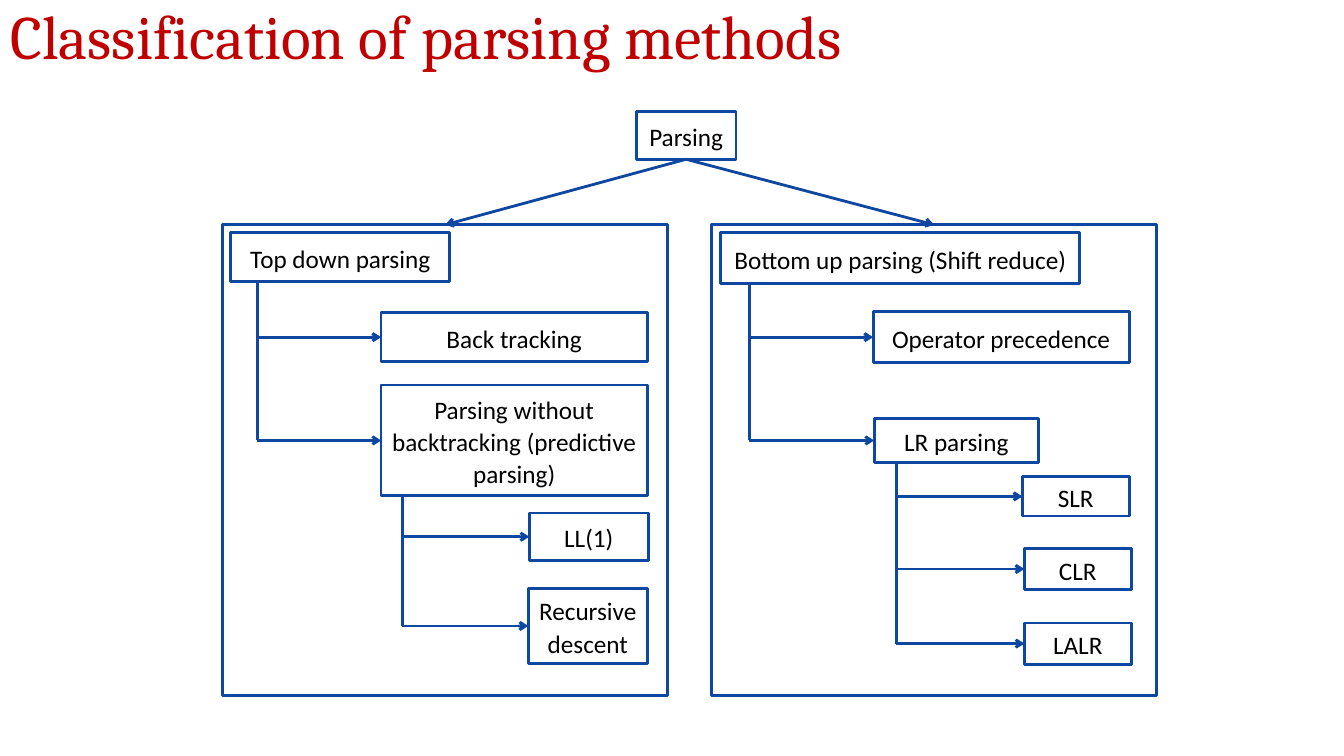
from lxml.etree import SubElement
from pptx import Presentation
from pptx.dml.color import RGBColor
from pptx.enum.shapes import MSO_CONNECTOR, MSO_SHAPE
from pptx.enum.text import MSO_ANCHOR, MSO_AUTO_SIZE, PP_ALIGN
from pptx.oxml.ns import qn
from pptx.util import Pt

PX = 9144  # 100 px to the inch
TOP, LEFT, BOTTOM = 0, 1, 2  # connection sites of a rectangle


def colour(hex_string):
    return RGBColor.from_string(hex_string)


class Diagram:
    """Holds the style and the slide being drawn."""

    title_font, title_size, title_colour = "Cambria", 44, "C00000"
    box_font, box_size, box_colour = "Calibri", 18, "000000"
    line_colour, line_width = "0E47A1", 2

    def __init__(self, presentation):
        self.slide = presentation.slides.add_slide(presentation.slide_layouts[5])

    def add_text(self, paragraph, text, font, size, hex_string):
        run = paragraph.add_run()
        run.text = text
        run.font.name = font
        run.font.size = Pt(size)
        run.font.color.rgb = colour(hex_string)

    def stroke(self, line):
        line.color.rgb = colour(self.line_colour)
        line.width = Pt(self.line_width)

    def title(self, text, left, top, width, height):
        title = self.slide.shapes.title
        title.left, title.top = left * PX, top * PX
        title.width, title.height = width * PX, height * PX
        frame = title.text_frame
        frame.auto_size = MSO_AUTO_SIZE.NONE
        frame.vertical_anchor = MSO_ANCHOR.MIDDLE
        paragraph = frame.paragraphs[0]
        paragraph.alignment = PP_ALIGN.LEFT
        paragraph.line_spacing = 0.9
        self.add_text(paragraph, text, self.title_font, self.title_size, self.title_colour)

    def frame(self, left, top, width, height):
        outline = self.slide.shapes.add_shape(
            MSO_SHAPE.RECTANGLE, left * PX, top * PX, width * PX, height * PX)
        outline.shadow.inherit = False
        outline.fill.background()
        self.stroke(outline.line)
        return outline

    def box(self, text, left, top, width, height):
        box = self.frame(left, top, width, height)
        frame = box.text_frame
        frame.word_wrap = True
        frame.vertical_anchor = MSO_ANCHOR.MIDDLE
        lines = text.split("\n")
        for number, line in enumerate(lines):
            paragraph = frame.add_paragraph() if number else frame.paragraphs[0]
            paragraph.alignment = PP_ALIGN.CENTER
            paragraph.line_spacing = 1.07
            paragraph.space_after = Pt(8 if len(lines) == 1 else 0)
            self.add_text(paragraph, line, self.box_font, self.box_size, self.box_colour)
        return box

    def line(self, x1, y1, x2, y2, arrow=False):
        """Draws a line between two points given in EMU."""
        line = self.slide.shapes.add_connector(MSO_CONNECTOR.STRAIGHT, x1, y1, x2, y2)
        self.stroke(line.line)
        properties = line._element.spPr
        if arrow:
            SubElement(properties.find(qn("a:ln")), qn("a:tailEnd"), type="arrow")
        SubElement(properties, qn("a:effectLst"))
        return line

    def split(self, parent, child):
        arrow = self.line(0, 0, PX, PX, arrow=True)
        arrow.begin_connect(parent, BOTTOM)
        arrow.end_connect(child, TOP)

    def branches(self, parent, trunk_x, children):
        x = trunk_x * PX
        for child in children:
            middle = child.top + child.height // 2
            self.line(x, middle, child.left, middle, arrow=True).end_connect(child, LEFT)
        self.line(x, parent.top + parent.height, x, middle)


def main():
    presentation = Presentation()
    presentation.slide_width, presentation.slide_height = 1333 * PX, 750 * PX
    diagram = Diagram(presentation)
    diagram.title("Classification of parsing methods", 0, 0, 1333, 78)

    # Root and the two families
    parsing = diagram.box("Parsing", 631, 111, 99, 47)
    for family_left in (221, 706):
        diagram.split(parsing, diagram.frame(family_left, 223, 441, 467))

    # Top down family
    top_down = diagram.box("Top down parsing", 229, 231, 217, 48)
    back_tracking = diagram.box("Back tracking", 378, 310, 264, 49)
    predictive = diagram.box(
        "Parsing without backtracking (predictive parsing)", 378, 382, 264, 110)
    ll1 = diagram.box("LL(1)", 525, 509, 118, 47)
    recursive_descent = diagram.box("Recursive\ndescent", 524, 584, 118, 74)
    diagram.branches(top_down, 255, [back_tracking, predictive])
    diagram.branches(predictive, 399, [ll1, recursive_descent])

    # Bottom up family
    bottom_up = diagram.box("Bottom up parsing (Shift reduce)", 715, 231, 356, 50)
    operator_precedence = diagram.box("Operator precedence", 866, 309, 254, 51)
    lr_parsing = diagram.box("LR parsing", 867, 415, 163, 44)
    slr = diagram.box("SLR", 1014, 473, 106, 39)
    clr = diagram.box("CLR", 1016, 544, 106, 41)
    lalr = diagram.box("LALR", 1016, 618, 106, 41)
    diagram.branches(bottom_up, 743, [operator_precedence, lr_parsing])
    diagram.branches(lr_parsing, 889, [slr, clr, lalr])

    presentation.save("out.pptx")


if __name__ == "__main__":
    main()
